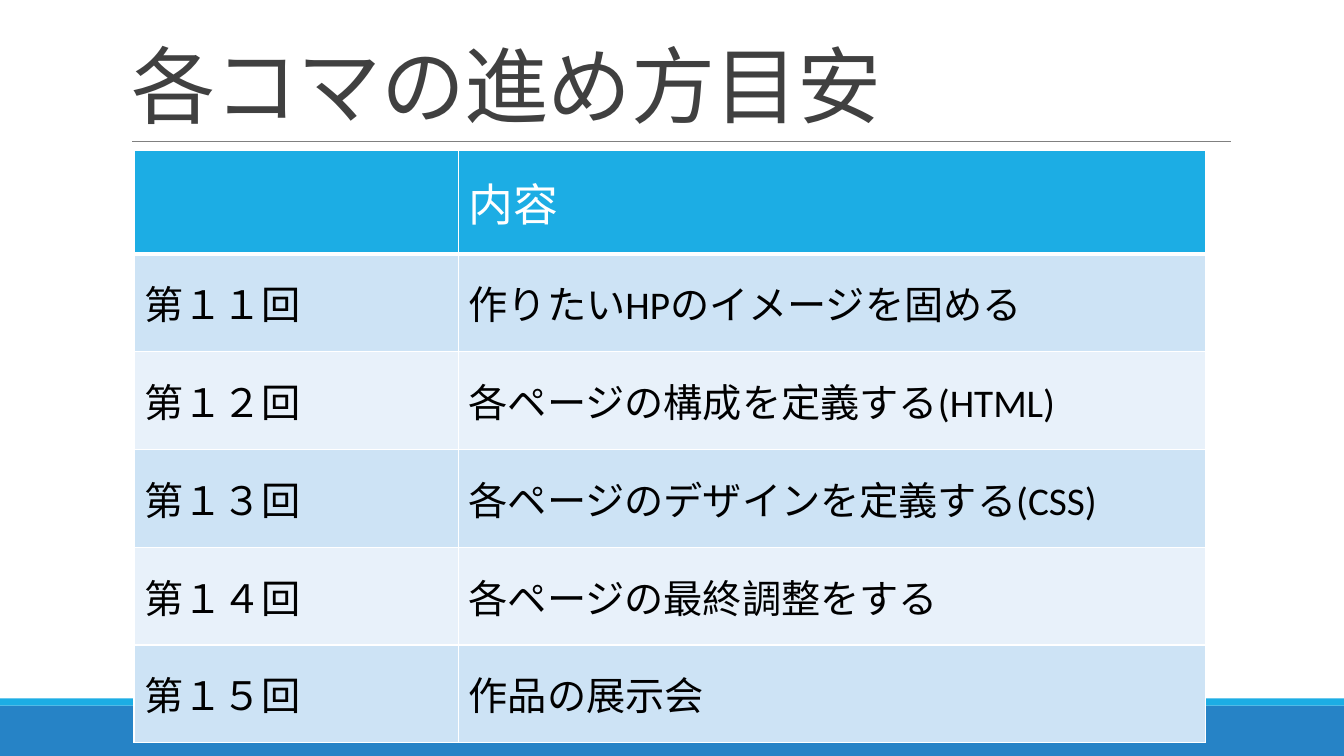
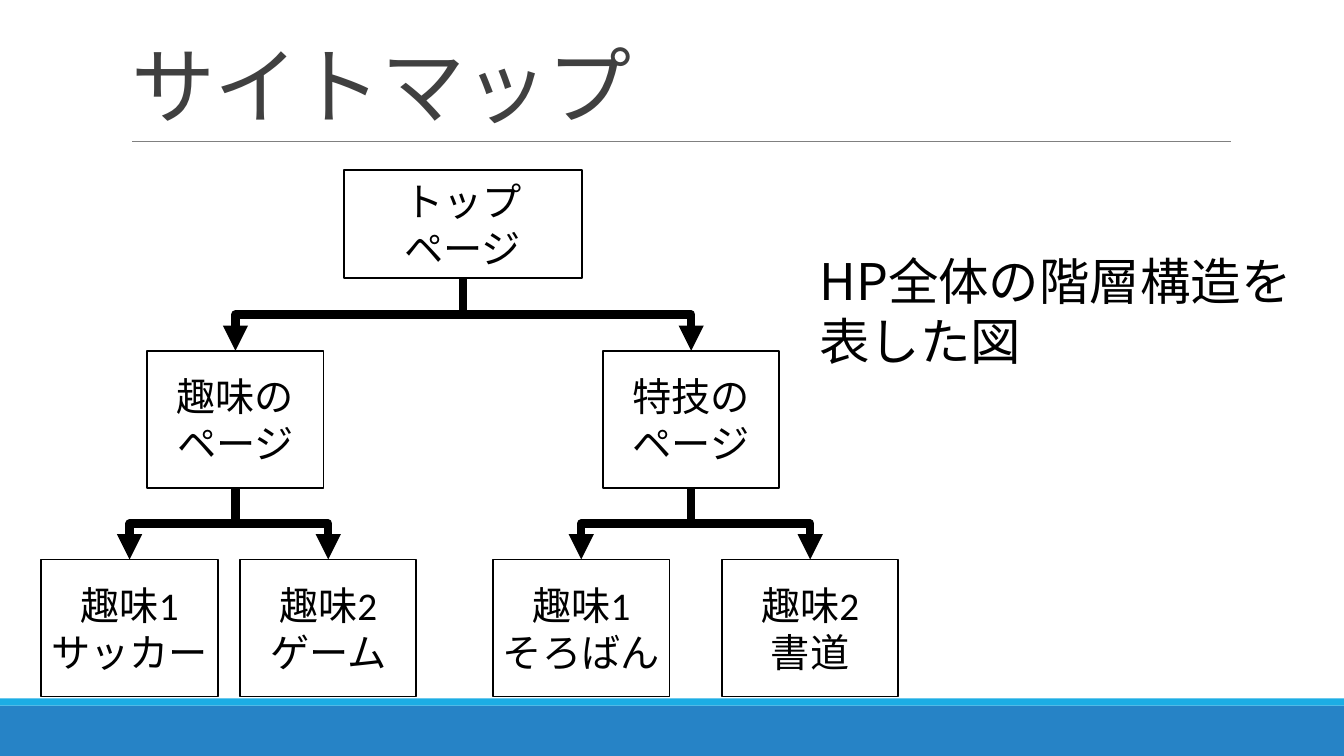
"""Build two course slides: a lesson schedule and a site map."""
from lxml.etree import SubElement
from pptx import Presentation
from pptx.dml.color import RGBColor
from pptx.enum.shapes import MSO_CONNECTOR, MSO_SHAPE
from pptx.enum.text import MSO_ANCHOR, PP_ALIGN
from pptx.oxml.ns import qn
from pptx.util import Emu, Inches, Pt

WIDTH, HEIGHT = 13.33, 7.5
LATIN, JAPANESE = "Calibri", "Noto Sans CJK JP"
BLACK, WHITE, GREY, RULE = "000000", "FFFFFF", "404040", "808080"
BLUE, CYAN = "2683C6", "1CADE4"
STRIPES = ["CDE3F5", "E8F1FA"]

SCHEDULE_TITLE = "各コマの進め方目安"
SCHEDULE = [
    ("", "内容"),
    ("第１１回", "作りたいHPのイメージを固める"),
    ("第１２回", "各ページの構成を定義する(HTML)"),
    ("第１３回", "各ページのデザインを定義する(CSS)"),
    ("第１４回", "各ページの最終調整をする"),
    ("第１５回", "作品の展示会"),
]
TABLE_LEFT, TABLE_TOP = 1.33, 1.49
COLUMNS = [3.22, 7.41]
HEADER_ROW, BODY_ROW = 1.03, 0.97

MAP_TITLE = "サイトマップ"
MAP_NOTE = ["HP全体の階層構造を", "表した図"]
LEVELS = [(1.69, 2.36, 1.07), (3.48, 1.75, 1.36), (5.55, 1.75, 1.36)]
SITE = (3.41, ["トップ", "ページ"], [
    (1.46, ["趣味の", "ページ"], [
        (0.41, ["趣味1", "サッカー"], []),
        (2.38, ["趣味2", "ゲーム"], []),
    ]),
    (5.98, ["特技の", "ページ"], [
        (4.89, ["趣味1", "そろばん"], []),
        (7.16, ["趣味2", "書道"], []),
    ]),
])


def rgb(color):
    """Turn a hex string into a colour."""
    return RGBColor.from_string(color)


def write(tf, lines, size=28, color=BLACK, font=LATIN, align=PP_ALIGN.LEFT,
          anchor=MSO_ANCHOR.MIDDLE, line_spacing=None, tracking=None):
    """Write one paragraph per line into a text frame and return the frame."""
    tf.word_wrap = True
    tf.vertical_anchor = anchor
    for i, line in enumerate(lines):
        p = tf.add_paragraph() if i else tf.paragraphs[0]
        p.alignment = align
        p.line_spacing = line_spacing
        r = p.add_run()
        r.text = line
        r.font.size, r.font.name, r.font.bold = Pt(size), font, False
        r.font.color.rgb = rgb(color)
        props = r.font._element
        SubElement(props, qn("a:ea")).set("typeface", JAPANESE)
        if tracking is not None:
            props.set("spc", str(round(tracking * 100)))
    return tf


def rectangle(s, x, y, w, h, fill, line=None):
    """Add a flat rectangle with an optional outline colour."""
    sp = s.shapes.add_shape(MSO_SHAPE.RECTANGLE, *map(Inches, (x, y, w, h)))
    sp.shadow.inherit = False
    sp.fill.solid()
    sp.fill.fore_color.rgb = rgb(fill)
    if line:
        sp.line.color.rgb = rgb(line)
        sp.line.width = Pt(1.25)
    else:
        sp.line.fill.background()
    return sp


def connector(s, kind, x1, y1, x2, y2, color, width):
    """Add a connector without a shadow; coordinates are lengths in EMU."""
    line = s.shapes.add_connector(kind, x1, y1, x2, y2)
    line.line.color.rgb = rgb(color)
    line.line.width = Pt(width)
    SubElement(line._element.spPr, qn("a:effectLst"))
    return line


def titled_slide(prs, title):
    """Add a slide with the shared bands, rule and title."""
    s = prs.slides.add_slide(prs.slide_layouts[5])
    rectangle(s, 0, 7, WIDTH, 0.5, BLUE)
    rectangle(s, 0, 6.93, WIDTH, 0.07, CYAN)
    connector(s, MSO_CONNECTOR.STRAIGHT, *map(Inches, (1.31, 1.4, 12.21, 1.4)), RULE, 0.5)
    sp = s.shapes.title
    sp.left, sp.top, sp.width, sp.height = map(Inches, (1.2, 0.31, 11, 1.08))
    write(sp.text_frame, [title], size=60, color=GREY, font=JAPANESE,
          anchor=MSO_ANCHOR.BOTTOM, line_spacing=0.85, tracking=-0.5)
    return s


def border(cell, **widths):
    """Give a cell white borders, with widths in points by side."""
    props = cell._tc.get_or_add_tcPr()
    for side in "LRTB":
        ln = SubElement(props, qn(f"a:ln{side}"), w=str(Pt(widths.get(side, 1))))
        fill = SubElement(ln, qn("a:solidFill"))
        SubElement(fill, qn("a:srgbClr"), val=WHITE)


def schedule_table(s):
    """Add the striped schedule table."""
    heights = [HEADER_ROW] + [BODY_ROW] * (len(SCHEDULE) - 1)
    box = map(Inches, (TABLE_LEFT, TABLE_TOP, sum(COLUMNS), sum(heights)))
    table = s.shapes.add_table(len(SCHEDULE), len(COLUMNS), *box).table
    for column, width in zip(table.columns, COLUMNS):
        column.width = Inches(width)
    for i, (row, height) in enumerate(zip(SCHEDULE, heights)):
        table.rows[i].height = Inches(height)
        for j, text in enumerate(row):
            cell = table.cell(i, j)
            border(cell, **({} if i else {"B": 3}))
            cell.fill.solid()
            cell.fill.fore_color.rgb = rgb(STRIPES[(i - 1) % 2] if i else CYAN)
            cell.vertical_anchor = MSO_ANCHOR.MIDDLE
            if text:
                write(cell.text_frame, [text], size=28 if i else 32,
                      color=BLACK if i else WHITE)


def branch(s, parent, child):
    """Link a page to a page below it with an elbow arrow."""
    x1, y1 = parent.left + parent.width // 2, parent.top + parent.height
    x2, y2 = child.left + child.width // 2, child.top
    arrow = connector(s, MSO_CONNECTOR.ELBOW, x1, y1, x2, y2, BLACK, 6)
    arrow.begin_connect(parent, 2)
    arrow.end_connect(child, 0)
    drop, reach = y2 - y1, abs(x2 - x1)
    arrow.left, arrow.top = Emu((x1 + x2 - drop) // 2), Emu((y1 + y2 - reach) // 2)
    arrow.width, arrow.height = Emu(drop), Emu(reach)
    xfrm = arrow._element.spPr.find(qn("a:xfrm"))
    xfrm.set("rot", str((90 if x2 < x1 else 270) * 60000))
    xfrm.set("flipH", "0" if x2 < x1 else "1")
    xfrm.set("flipV", "0")
    SubElement(arrow.line._get_or_add_ln(), qn("a:tailEnd"), type="triangle")


def site_page(s, page, level=0):
    """Draw a page box, then the pages below it and their arrows."""
    x, lines, children = page
    y, w, h = LEVELS[level]
    sp = rectangle(s, x, y, w, h, WHITE, BLACK)
    tf = write(sp.text_frame, lines, align=PP_ALIGN.CENTER)
    tf.margin_left = tf.margin_right = Inches(0.05)
    for child in children:
        branch(s, sp, site_page(s, child, level + 1))
    return sp


def main():
    """Build and save the presentation."""
    prs = Presentation()
    prs.slide_width, prs.slide_height = Inches(WIDTH), Inches(HEIGHT)
    schedule_table(titled_slide(prs, SCHEDULE_TITLE))
    s = titled_slide(prs, MAP_TITLE)
    site_page(s, SITE)
    note = s.shapes.add_textbox(*map(Inches, (8.03, 2.43, 4.92, 1.31)))
    write(note.text_frame, MAP_NOTE, size=36, font=JAPANESE, anchor=MSO_ANCHOR.TOP)
    prs.save("out.pptx")


if __name__ == "__main__":
    main()
